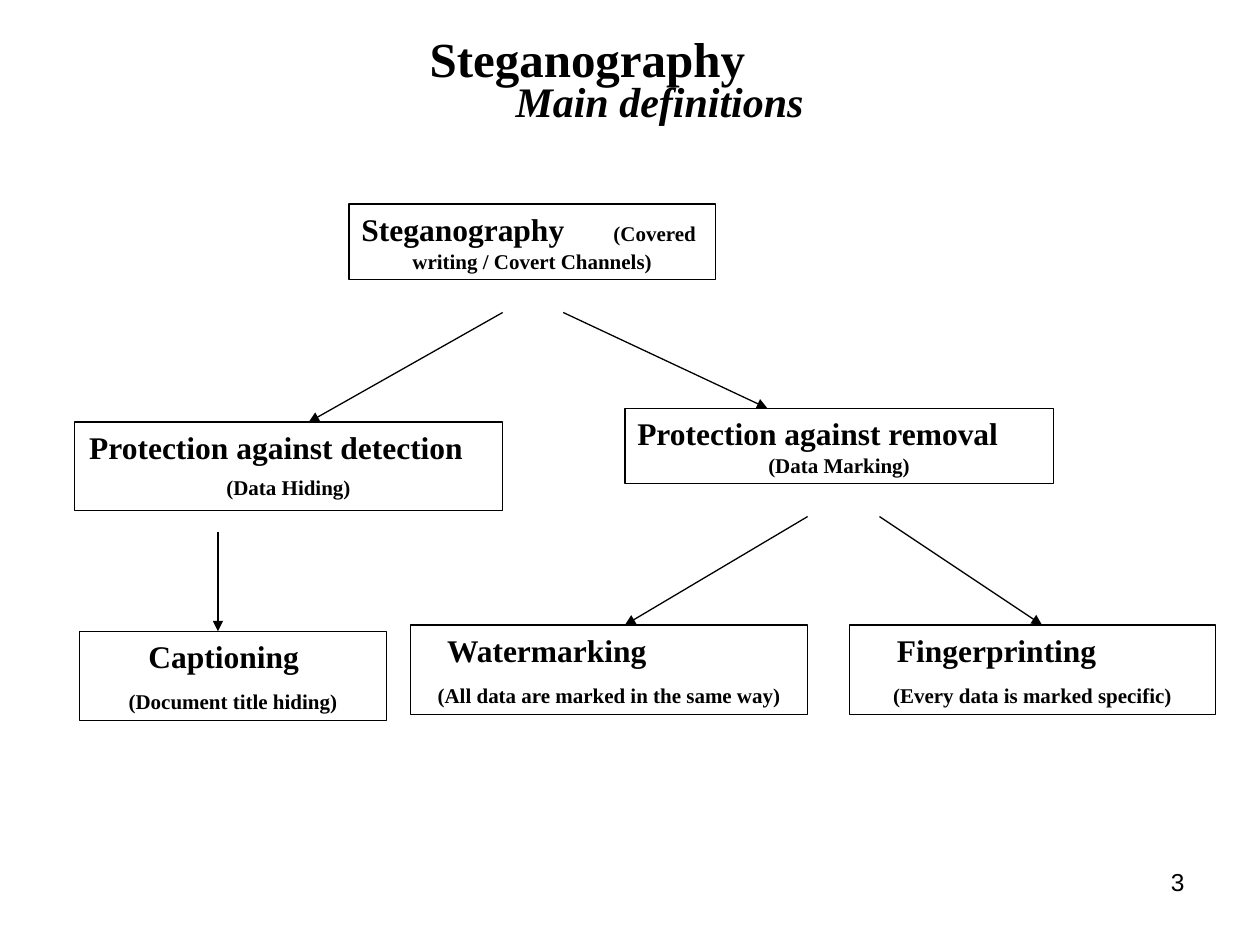
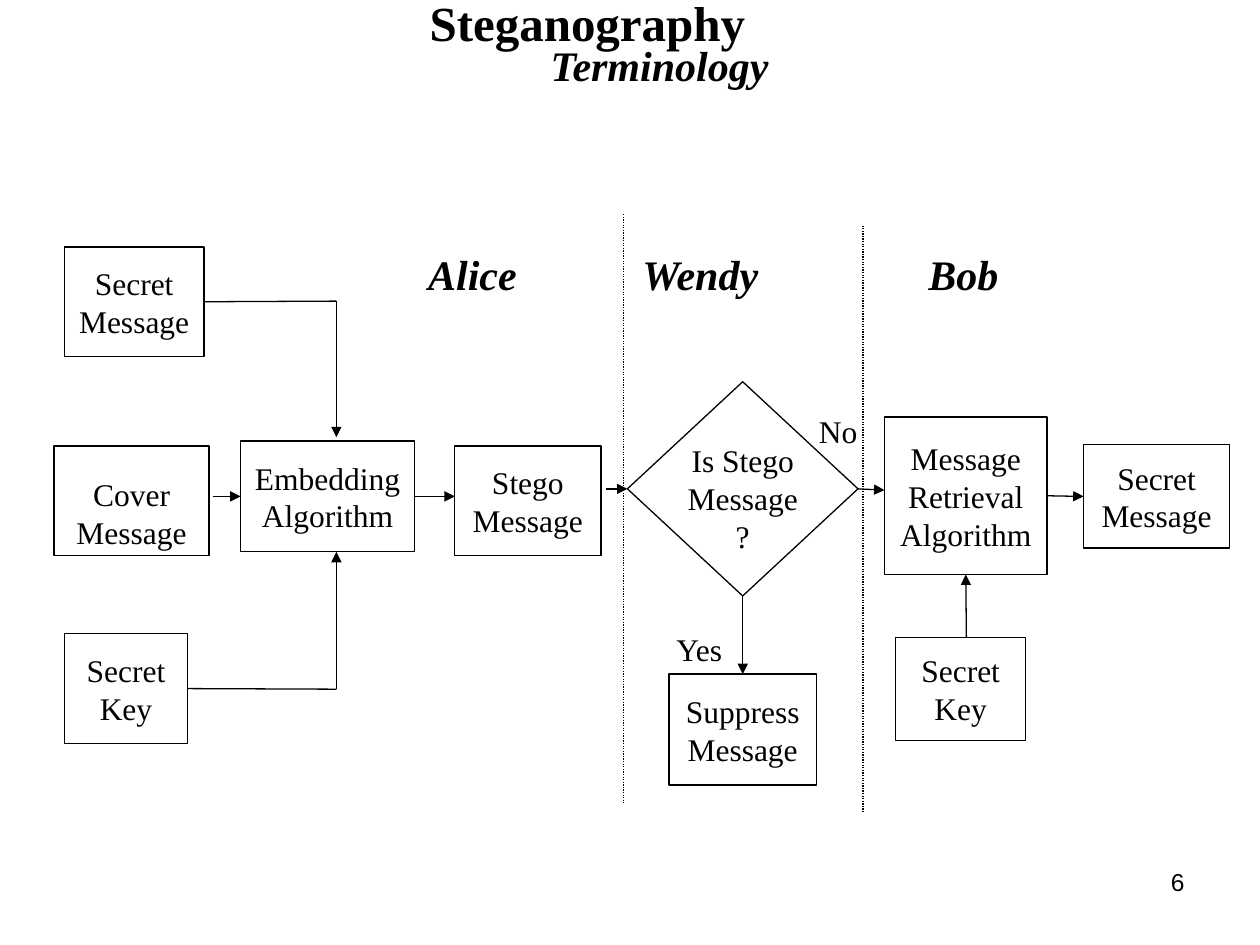
from lxml.etree import SubElement
from pptx import Presentation
from pptx.dml.color import RGBColor
from pptx.enum.dml import MSO_LINE
from pptx.enum.shapes import MSO_CONNECTOR, MSO_SHAPE
from pptx.enum.text import MSO_ANCHOR, MSO_AUTO_SIZE, PP_ALIGN
from pptx.oxml.ns import qn
from pptx.util import Inches, Pt

# ---- Shared style ----
WIDTH, HEIGHT = 10, 7.5
INK = "000000"
SERIF, SANS = "Times New Roman", "Arial"
LINE_WEIGHT = 0.75
TITLE_LEFT, TITLE_WIDTH, TITLE_HEIGHT = 2.32, 5.33, 0.75
NUMBER_PLACE = (7.17, 6.83, 2.33, 0.52)
TOP, LEFT, BOTTOM, RIGHT = range(4)

# ---- Slide 1: tree of definitions ----
# Each box: left, top, width, height, heading, heading indent, note, space above note
DEFINITIONS = [
    (0.59, 3.35, 3.4, 0.7, "Protection against detection", 0.02, "(Data Hiding)", 5),
    (4.96, 3.24, 3.4, 0.6, "Protection against removal", 0, "(Data Marking)", 0),
    (2.77, 1.62, 2.91, 0.6, [("Steganography\t", 18), ("(Covered", 12)], 0,
     "writing / Covert Channels)", 0),
    (0.63, 5.01, 2.44, 0.71, "Captioning", 0.45, "(Document title hiding)", 7.5),
    (3.26, 4.96, 3.15, 0.71, "Watermarking", 0.19,
     "(All data are marked in the same way)", 7.5),
    (6.74, 4.96, 2.91, 0.71, "Fingerprinting", 0.28,
     "(Every data is marked specific)", 7.5),
]
COVERED_TAB = 2.03
BRANCHES = [
    ((3.99, 2.48), (2.45, 3.35)),
    ((4.47, 2.48), (6.09, 3.24)),
    ((6.41, 4.1), (4.96, 4.96)),
    ((6.98, 4.1), (8.27, 4.96)),
    ((1.73, 4.22), (1.73, 5.01)),
]

# ---- Slide 2: flow from Alice through Wendy to Bob ----
STEPS = {
    "secret": (0.51, 1.96, 1.11, 0.87, "Secret Message"),
    "cover": (0.43, 3.54, 1.23, 0.87, "Cover Message"),
    "key": (0.51, 5.03, 0.98, 0.87, "Secret Key"),
    "embed": (1.91, 3.5, 1.38, 0.88, "Embedding Algorithm"),
    "stego": (3.61, 3.54, 1.16, 0.87, "Stego Message"),
    "check": (4.98, 3.03, 1.83, 1.7, "Is Stego Message?"),
    "suppress": (5.31, 5.35, 1.17, 0.88, "Suppress Message"),
    "retrieve": (7.02, 3.31, 1.29, 1.25, "Message Retrieval Algorithm"),
    "result": (8.6, 3.53, 1.16, 0.82, "Secret Message"),
    "bob key": (7.11, 5.06, 1.03, 0.82, "Secret Key"),
}
COVER_TOP_INSET = 0.24
ELBOW_X = 2.67
# Each end is a point or a step name with a side; the last value adds an arrowhead
FLOWS = [
    (("secret", RIGHT), (ELBOW_X, 2.39), False),
    ((ELBOW_X, 2.39), (ELBOW_X, 3.47), True),
    (("key", RIGHT), (ELBOW_X, 5.47), False),
    ((ELBOW_X, 5.47), (ELBOW_X, 4.38), True),
    ((1.69, 3.94), ("embed", LEFT), True),
    (("embed", RIGHT), (3.61, 3.94), True),
    ((4.81, 3.88), ("check", LEFT), True),
    (("check", RIGHT), (7.02, 3.89), True),
    (("check", BOTTOM), ("suppress", TOP), True),
    (("retrieve", RIGHT), ("result", LEFT), True),
    ((7.67, 5.06), ("retrieve", BOTTOM), True),
]
ANSWERS = [("Yes", 5.27, 4.95, 0.73), ("No", 6.4, 3.22, 0.55)]
PEOPLE = [("Alice", 3.3, 1.13), ("Wendy", 5, 1.34), ("Bob", 7.27, 1.13)]
PEOPLE_TOP, PEOPLE_HEIGHT = 1.79, 0.77
DIVIDERS = [((4.95, 1.7), (4.95, 6.37)), ((6.85, 1.79), (6.85, 6.45))]


def colour(value):
    return RGBColor.from_string(value)


def inches(values):
    return [Inches(value) for value in values]


def write(box, text, size=18, font=SERIF, bold=False, italic=False,
          align=PP_ALIGN.LEFT, indent=0, before=0, spacing=None, tab=None):
    """Add one paragraph; text is a string or a list of (string, size)."""
    frame = box.text_frame
    para = frame.paragraphs[0]
    if para.runs:
        para = frame.add_paragraph()
    properties = para._p.get_or_add_pPr()
    properties.set("marL", str(Inches(indent)))
    properties.set("indent", "0")
    if tab:
        stops = SubElement(properties, qn("a:tabLst"))
        SubElement(stops, qn("a:tab"), pos=str(Inches(tab)), algn="l")
    para.alignment = align
    para.space_before = Pt(before)
    if spacing:
        para.line_spacing = Pt(spacing)
    for words, points in ([(text, size)] if isinstance(text, str) else text):
        span = para.add_run()
        span.text = words
        span.font.name, span.font.size = font, Pt(points)
        span.font.bold, span.font.italic = bold, italic
        span.font.color.rgb = colour(INK)


def set_frame(box, anchor=MSO_ANCHOR.TOP, side=0.1, top=0.05):
    frame = box.text_frame
    frame.word_wrap = True
    frame.auto_size = MSO_AUTO_SIZE.NONE
    frame.vertical_anchor = anchor
    frame.margin_left = frame.margin_right = Inches(side)
    frame.margin_top, frame.margin_bottom = inches((top, 0.05))


def add_label(page, place, text, anchor=MSO_ANCHOR.TOP, **style):
    box = page.shapes.add_textbox(*inches(place))
    set_frame(box, anchor)
    write(box, text, **style)


def add_outline(page, place, kind=MSO_SHAPE.RECTANGLE, **frame):
    box = page.shapes.add_shape(kind, *inches(place))
    box.shadow.inherit = False
    box.fill.background()
    box.line.color.rgb = colour(INK)
    box.line.width = Pt(LINE_WEIGHT)
    set_frame(box, **frame)
    return box


def add_line(page, start, end, arrow=True, dotted=False, boxes=None):
    joins = [isinstance(point[0], str) for point in (start, end)]
    points = [(0, 0) if joined else point for point, joined in zip((start, end), joins)]
    line = page.shapes.add_connector(
        MSO_CONNECTOR.STRAIGHT, *inches(points[0] + points[1]))
    if joins[0]:
        line.begin_connect(boxes[start[0]], start[1])
    if joins[1]:
        line.end_connect(boxes[end[0]], end[1])
    line.line.color.rgb = colour(INK)
    line.line.width = Pt(LINE_WEIGHT)
    if dotted:
        line.line.dash_style = MSO_LINE.ROUND_DOT
    if arrow:
        SubElement(line.line._get_or_add_ln(), qn("a:tailEnd"), type="triangle")
    SubElement(line._element.spPr, qn("a:effectLst"))


def add_page(deck, subtitle, title_top, number):
    page = deck.slides.add_slide(deck.slide_layouts[5])
    title = page.shapes.title
    title.left, title.top, title.width, title.height = inches(
        (TITLE_LEFT, title_top, TITLE_WIDTH, TITLE_HEIGHT))
    set_frame(title)
    write(title, "Steganography", size=28, bold=True, indent=0.99, spacing=26)
    write(title, subtitle, size=24, bold=True, italic=True,
          align=PP_ALIGN.CENTER, indent=0.5, spacing=22)
    add_label(page, NUMBER_PLACE, number, size=14, font=SANS, align=PP_ALIGN.RIGHT)
    return page


def build_definitions(deck):
    page = add_page(deck, "Main definitions", 0.28, "3")
    for *place, heading, indent, note, gap in DEFINITIONS:
        box = add_outline(page, place)
        tab = None if isinstance(heading, str) else COVERED_TAB
        write(box, heading, bold=True, indent=indent, tab=tab)
        write(box, note, size=12, bold=True, align=PP_ALIGN.CENTER, before=gap)
    for start, end in BRANCHES:
        add_line(page, start, end)


def build_terminology(deck):
    page = add_page(deck, "Terminology", 0, "6")
    boxes = {}
    for name, (*place, text) in STEPS.items():
        if name == "check":
            box = add_outline(page, place, MSO_SHAPE.DIAMOND, side=0)
        else:
            top = COVER_TOP_INSET if name == "cover" else 0.05
            box = add_outline(page, place, anchor=MSO_ANCHOR.MIDDLE, top=top)
        write(box, text, align=PP_ALIGN.CENTER)
        boxes[name] = box
    for start, end, arrow in FLOWS:
        add_line(page, start, end, arrow, boxes=boxes)
    for start, end in DIVIDERS:
        add_line(page, start, end, arrow=False, dotted=True)
    for text, left, top, width in ANSWERS:
        add_label(page, (left, top, width, 0.58), text)
    for text, left, width in PEOPLE:
        add_label(page, (left, PEOPLE_TOP, width, PEOPLE_HEIGHT), text,
                  MSO_ANCHOR.MIDDLE, size=24, bold=True, italic=True)


def main():
    deck = Presentation()
    deck.slide_width, deck.slide_height = inches((WIDTH, HEIGHT))
    build_definitions(deck)
    build_terminology(deck)
    deck.save("out.pptx")


if __name__ == "__main__":
    main()
